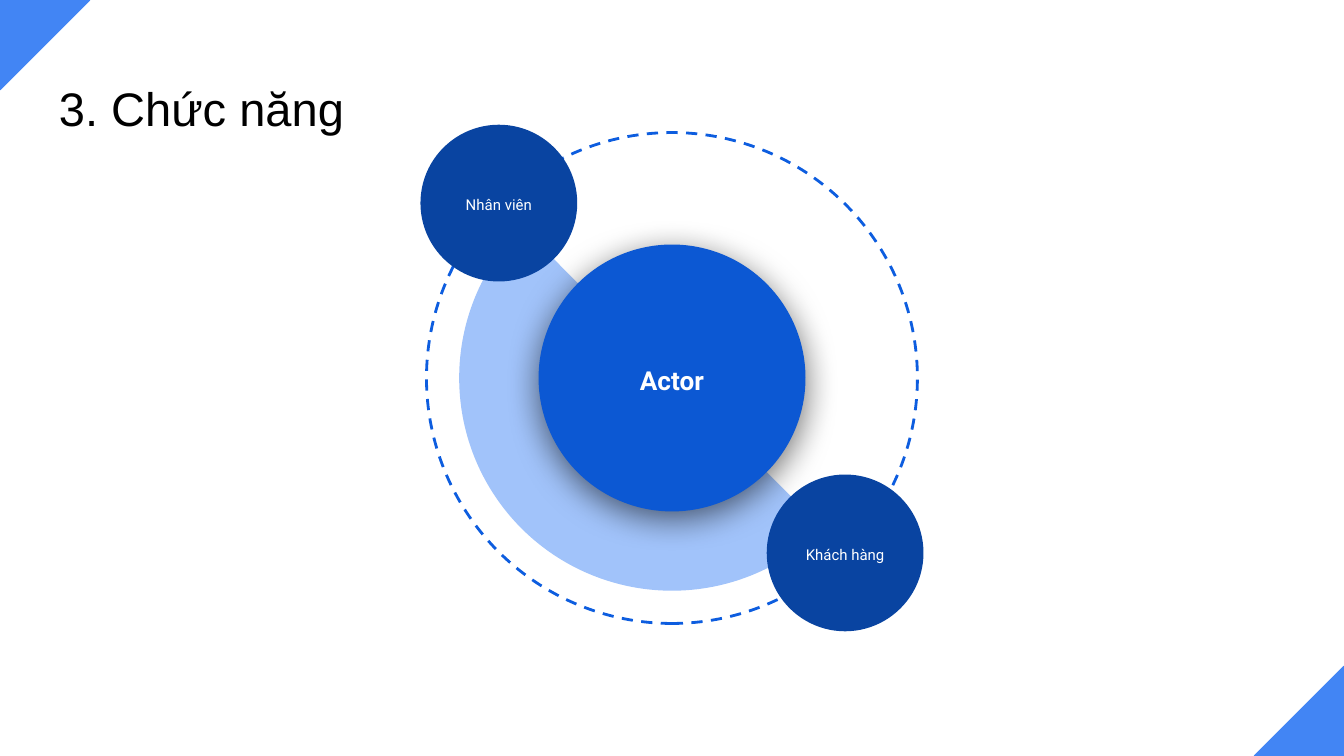
from dataclasses import dataclass

from lxml.etree import SubElement
from pptx import Presentation
from pptx.dml.color import RGBColor
from pptx.enum.dml import MSO_LINE
from pptx.enum.shapes import MSO_SHAPE
from pptx.enum.text import MSO_ANCHOR, PP_ALIGN
from pptx.oxml.ns import qn
from pptx.shapes.autoshape import Shape
from pptx.slide import Slide
from pptx.util import Pt


@dataclass(frozen=True)
class Theme:
    ring: str = "0D5DDF"
    arc: str = "A1C3FA"
    hub: str = "0C58D3"
    actor: str = "0944A1"
    corner: str = "4285F4"
    dark: str = "000000"
    light: str = "FFFFFF"
    title_font: str = "Arial"
    body_font: str = "Roboto"
    title_size: float = 25.2
    hub_size: float = 14
    actor_size: float = 8


@dataclass(frozen=True)
class Disc:
    label: str
    cx: float
    cy: float
    diameter: float
    fill: str
    label_w: float
    label_h: float
    size: float
    bold: bool = False


T = Theme()
SLIDE_W, SLIDE_H = 720, 405
CX, CY = SLIDE_W / 2, SLIDE_H / 2
DX, DY = 92.75, 93.7  # actor centres, measured from the hub
CORNER = 48


def add_shape(s: Slide, kind: MSO_SHAPE, cx: float, cy: float, size: float,
              fill: str | None = None, line: str | None = None,
              weight: float = 0.75, rotation: float = 0) -> Shape:
    sp = s.shapes.add_shape(kind, Pt(cx - size / 2), Pt(cy - size / 2),
                            Pt(size), Pt(size))
    sp.shadow.inherit = False
    sp.rotation = rotation
    if fill:
        sp.fill.solid()
        sp.fill.fore_color.rgb = RGBColor.from_string(fill)
    else:
        sp.fill.background()
    if line:
        sp.line.color.rgb = RGBColor.from_string(line)
        sp.line.width = Pt(weight)
    else:
        sp.line.fill.background()
    return sp


def add_text(s: Slide, text: str, x: float, y: float, w: float, h: float,
             font: str, size: float, color: str, bold: bool = False,
             centered: bool = False) -> None:
    tf = s.shapes.add_textbox(Pt(x), Pt(y), Pt(w), Pt(h)).text_frame
    tf.word_wrap = True
    tf.margin_left = tf.margin_right = Pt(7.2)
    tf.margin_top = tf.margin_bottom = Pt(7.2)
    p = tf.paragraphs[0]
    if centered:
        tf.vertical_anchor = MSO_ANCHOR.MIDDLE
        p.alignment = PP_ALIGN.CENTER
        p.line_spacing = 1.15
    r = p.add_run()
    r.text = text
    r.font.name = font
    r.font.size = Pt(size)
    r.font.bold = bold
    r.font.color.rgb = RGBColor.from_string(color)


def add_shadow(sp: Shape, blur: float, distance: float, opacity: int) -> None:
    effects = sp._element.spPr.find(qn("a:effectLst"))
    shadow = SubElement(effects, qn("a:outerShdw"), blurRad=str(Pt(blur)),
                        dist=str(Pt(distance)), dir=str(90 * 60000),
                        algn="bl", rotWithShape="0")
    color = SubElement(shadow, qn("a:srgbClr"), val=T.dark)
    SubElement(color, qn("a:alpha"), val=str(opacity * 1000))


def add_disc(s: Slide, d: Disc) -> Shape:
    sp = add_shape(s, MSO_SHAPE.OVAL, d.cx, d.cy, d.diameter, d.fill)
    add_text(s, d.label, d.cx - d.label_w / 2, d.cy - d.label_h / 2,
             d.label_w, d.label_h, T.body_font, d.size, T.light, d.bold, True)
    return sp


def main() -> None:
    prs = Presentation()
    prs.slide_width, prs.slide_height = Pt(SLIDE_W), Pt(SLIDE_H)
    s = prs.slides.add_slide(prs.slide_layouts[6])

    # Title
    add_text(s, "3. Chức năng", 24.5, 35.5, 671, 45,
             T.title_font, T.title_size, T.dark)

    # Dashed ring and the half disc behind the hub
    ring = add_shape(s, MSO_SHAPE.OVAL, CX, CY, 263, line=T.ring,
                     weight=1.5, rotation=270)
    ring.line.dash_style = MSO_LINE.DASH
    arc = add_shape(s, MSO_SHAPE.PIE, CX, CY, 228, T.arc)
    arc.adjustments[0], arc.adjustments[1] = 26.9, 135.11

    # Hub
    hub = add_disc(s, Disc("Actor", CX, CY, 143, T.hub, 106, 65,
                           T.hub_size, True))
    add_shadow(hub, 18, 4, 55)

    # Actors on opposite sides of the hub
    for label, side in (("Nhân viên", -1), ("Khách hàng", 1)):
        add_disc(s, Disc(label, CX + side * DX, CY + side * DY, 84, T.actor,
                         60, 58, T.actor_size))

    # Corner triangles
    half = CORNER / 2
    for x, y, rotation in ((half, half, 90),
                           (SLIDE_W - half, SLIDE_H - half, 270)):
        add_shape(s, MSO_SHAPE.RIGHT_TRIANGLE, x, y, CORNER, T.corner,
                  T.corner, rotation=rotation)

    prs.save("out.pptx")


if __name__ == "__main__":
    main()
